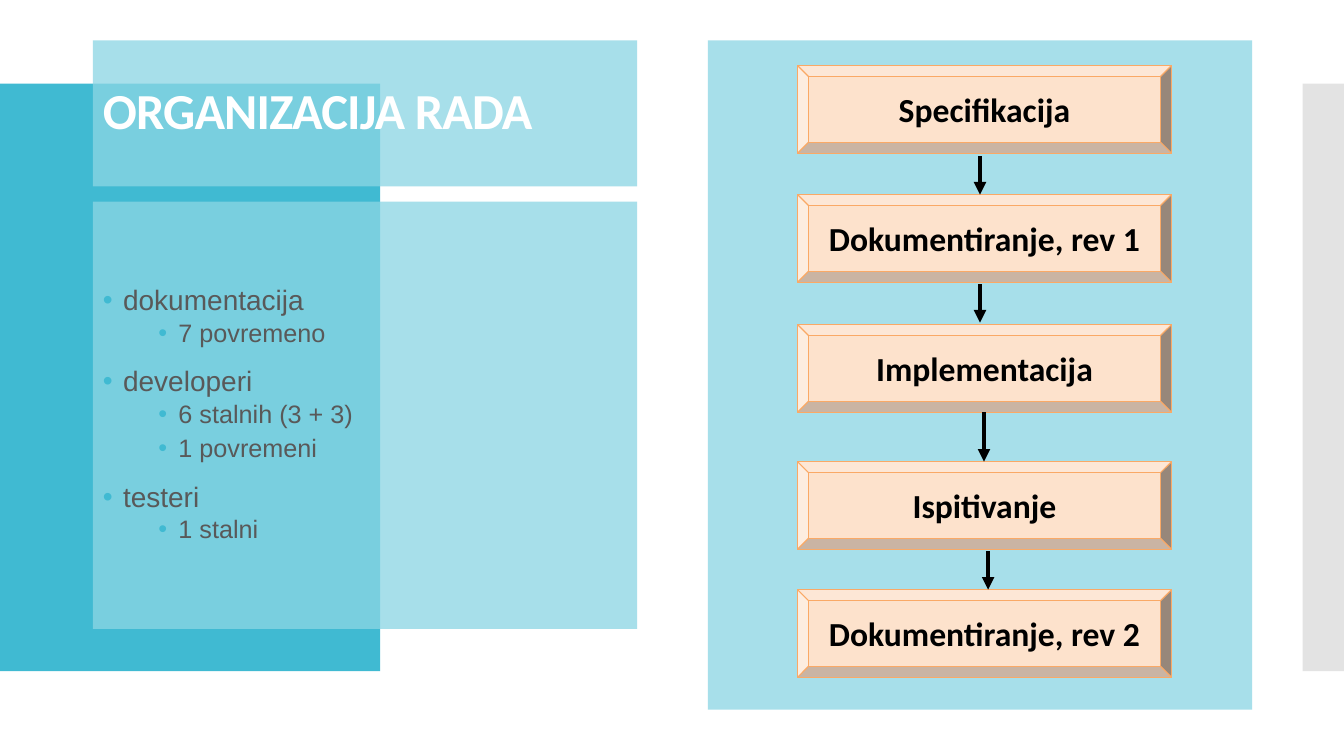
from dataclasses import dataclass

from lxml import etree
from pptx import Presentation
from pptx.dml.color import RGBColor
from pptx.enum import shapes, text
from pptx.oxml.ns import qn
from pptx.util import Inches, Pt


@dataclass(frozen=True)
class Theme:
    accent: str = "40BAD2"
    panel: str = "8CD6E4"
    edge: str = "C8C8C8"
    step: str = "FDE2CC"
    step_line: str = "FAA966"
    title: str = "FFFFFF"
    body: str = "595959"
    ink: str = "000000"
    heading_font: str = "Calibri"
    body_font: str = "Arial"
    title_size: int = 36
    step_size: int = 24
    list_sizes: tuple = (20, 18)


class SlideBuilder:
    def __init__(self, slide, theme):
        self.slide = slide
        self.theme = theme

    def fill(self, shape, color, opacity=100):
        shape.fill.solid()
        shape.fill.fore_color.rgb = RGBColor.from_string(color)
        if opacity < 100:
            srgb = shape._element.spPr.find(f".//{qn('a:srgbClr')}")
            etree.SubElement(srgb, qn("a:alpha"), val=str(opacity * 1000))

    def place(self, shape, box):
        shape.left, shape.top, shape.width, shape.height = map(Inches, box)

    def style(self, paragraph, face, size, color, bold=False):
        font = paragraph.font
        font.name, font.size, font.bold = face, Pt(size), bold
        font.color.rgb = RGBColor.from_string(color)

    def frame(self, shape):
        frame = shape.text_frame
        frame.word_wrap = True
        frame.auto_size = text.MSO_AUTO_SIZE.NONE
        frame.vertical_anchor = text.MSO_ANCHOR.MIDDLE
        return frame

    def panel(self, box, color, opacity=100, behind=False):
        panel = self.slide.shapes.add_shape(shapes.MSO_SHAPE.RECTANGLE, *map(Inches, box))
        panel.shadow.inherit = False
        self.fill(panel, color, opacity)
        panel.line.fill.background()
        if behind:
            self.slide.shapes._spTree.insert(2, panel._element)

    def title(self, box, wording):
        title = self.slide.shapes.title
        self.place(title, box)
        self.fill(title, self.theme.panel, 76)
        frame = self.frame(title)
        frame.text = wording
        heading = frame.paragraphs[0]
        heading.alignment = text.PP_ALIGN.LEFT
        heading.line_spacing = 0.9
        self.style(heading, self.theme.heading_font, self.theme.title_size, self.theme.title, True)
        heading._p.pPr.find(qn("a:defRPr")).set("spc", "-60")

    def bullet(self, paragraph, indent):
        props = paragraph._p.get_or_add_pPr()
        props.set("marL", str(Inches(indent)))
        props.set("indent", str(Inches(-0.2)))
        color = etree.SubElement(props, qn("a:buClr"))
        etree.SubElement(color, qn("a:srgbClr"), val=self.theme.accent)
        etree.SubElement(props, qn("a:buFont"), typeface="Arial")
        etree.SubElement(props, qn("a:buChar"), char="•")

    def bullets(self, box, items):
        body = self.slide.placeholders[1]
        self.place(body, box)
        self.fill(body, self.theme.panel, 76)
        frame = self.frame(body)
        frame.text = "\n".join(wording for level, wording in items)
        for paragraph, (level, wording) in zip(frame.paragraphs, items):
            paragraph.level = level
            self.bullet(paragraph, (0.2, 0.75)[level])
            paragraph.line_spacing = 0.9
            paragraph.space_before = Pt((12, 2.5)[level])
            paragraph.space_after = Pt((0, 2.5)[level])
            self.style(paragraph, self.theme.body_font, self.theme.list_sizes[level], self.theme.body)

    def step(self, box, wording):
        step = self.slide.shapes.add_shape(shapes.MSO_SHAPE.BEVEL, *map(Inches, box))
        step.shadow.inherit = False
        self.fill(step, self.theme.step)
        step.line.color.rgb = RGBColor.from_string(self.theme.step_line)
        step.line.width = Pt(0.85)
        frame = self.frame(step)
        frame.text = wording
        label = frame.paragraphs[0]
        label.alignment = text.PP_ALIGN.CENTER
        self.style(label, self.theme.heading_font, self.theme.step_size, self.theme.ink, True)

    def arrow(self, x, top, bottom):
        arrow = self.slide.shapes.add_connector(
            shapes.MSO_CONNECTOR.STRAIGHT, *map(Inches, (x, top, x, bottom)))
        arrow.line.color.rgb = RGBColor.from_string(self.theme.ink)
        arrow.line.width = Pt(3)
        etree.SubElement(arrow.line._get_or_add_ln(), qn("a:tailEnd"), type="triangle")
        etree.SubElement(arrow._element.spPr, qn("a:effectLst"))


presentation = Presentation()
presentation.slide_width = Inches(13.33)
presentation.slide_height = Inches(7.5)
theme = Theme()
builder = SlideBuilder(presentation.slides.add_slide(presentation.slide_layouts[1]), theme)

builder.panel((12.92, 0.83, 0.41, 5.83), theme.edge, 50, behind=True)
builder.panel((0, 0.83, 3.77, 5.83), theme.accent, behind=True)
builder.title((0.92, 0.4, 5.4, 1.45), "ORGANIZACIJA RADA")
builder.bullets((0.92, 2, 5.4, 4.24), [
    (0, "dokumentacija"),
    (1, "7 povremeno"),
    (0, "developeri"),
    (1, "6 stalnih (3 + 3)"),
    (1, "1 povremeni"),
    (0, "testeri"),
    (1, "1 stalni"),
])
builder.panel((7.02, 0.4, 5.4, 6.64), theme.panel, 76)

workflow = [
    (0.65, "Specifikacija"),
    (1.93, "Dokumentiranje, rev 1"),
    (3.22, "Implementacija"),
    (4.58, "Ispitivanje"),
    (5.85, "Dokumentiranje, rev 2"),
]
for top, wording in workflow:
    builder.step((7.91, top, 3.71, 0.87), wording)
for x, top, bottom in [(9.72, 1.55, 1.93), (9.72, 2.82, 3.2), (9.76, 4.09, 4.58), (9.8, 5.47, 5.85)]:
    builder.arrow(x, top, bottom)

presentation.save("out.pptx")
